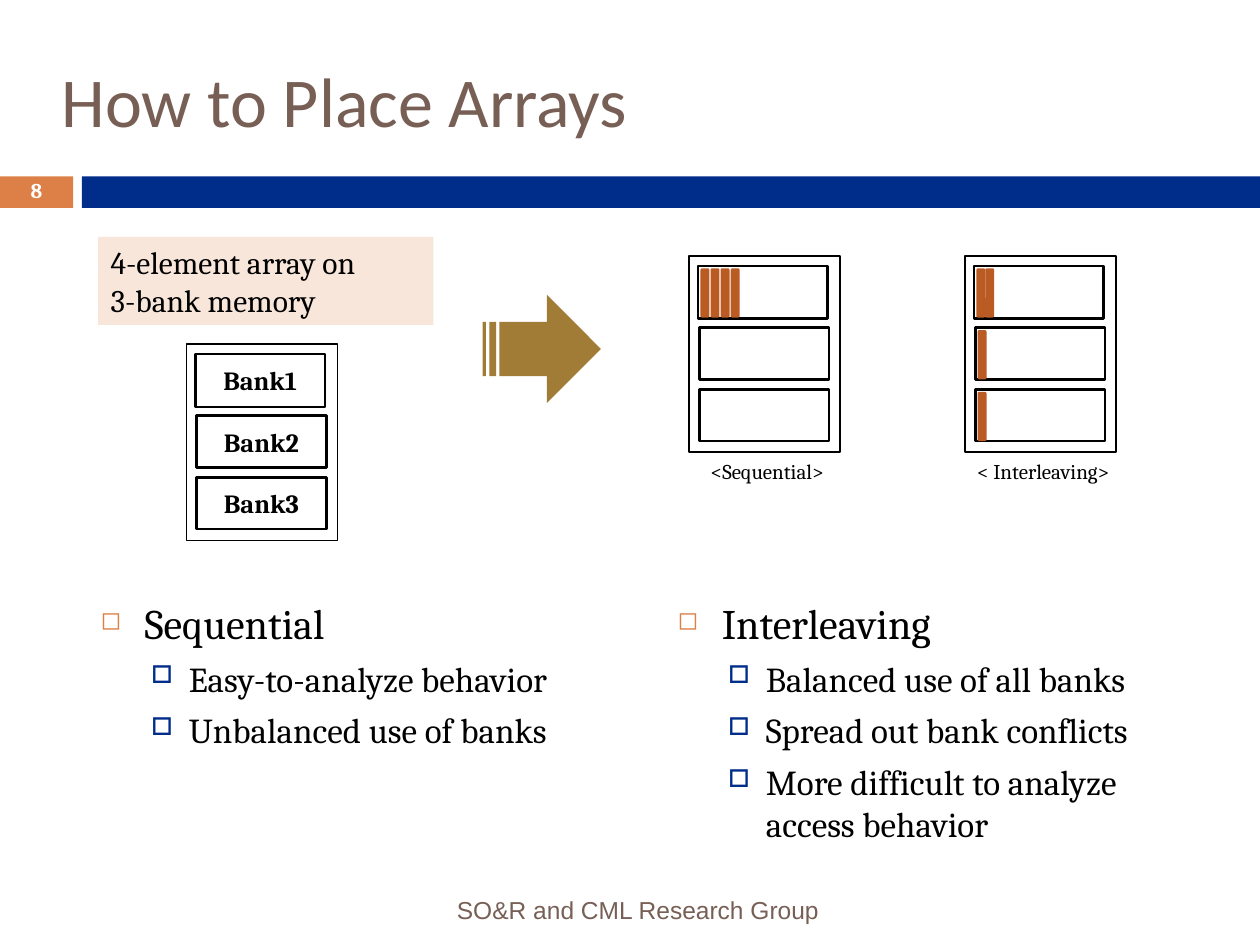
import pptx
import pptx.dml.color
import pptx.enum.shapes
import pptx.enum.text
import pptx.oxml.ns
import pptx.util
from lxml import etree

PX = 9144  # EMU in one px, 100 px to the inch
SHAPE = pptx.enum.shapes.MSO_SHAPE
ALIGN = pptx.enum.text.PP_ALIGN
ANCHOR = pptx.enum.text.MSO_ANCHOR

THEME = {
    "color": {"ink": "000000", "paper": "FFFFFF", "title": "775F55", "accent": "DD8047",
              "band": "002D89", "note": "F8E6DA", "arrow": "A17C36", "element": "B95B22"},
    "text": {
        "title": {"name": "Calibri", "size": 40, "color": "title"},
        "number": {"name": "Cambria", "size": 12, "color": "paper", "bold": True},
        "footer": {"name": "Arial", "size": 14, "color": "title"},
        "note": {"name": "Cambria", "size": 18, "color": "ink"},
        "bank": {"name": "Cambria", "size": 15, "color": "ink", "bold": True},
        "caption": {"name": "Cambria", "size": 12, "color": "ink"},
        "head": {"name": "Cambria", "size": 24, "color": "ink"},
        "point": {"name": "Cambria", "size": 20, "color": "ink"},
    },
}

TITLE = "How to Place Arrays"
NUMBER = "8"
FOOTER = "SO&R and CML Research Group"
NOTE = ["4-element array on", "3-bank memory"]

# elements: how many array elements lie in each bank
MEMORIES = [
    {"at": (148, 273), "labels": ["Bank1", "Bank2", "Bank3"]},
    {"at": (547, 203), "elements": [4, 0, 0], "step": 8, "caption": "<Sequential>"},
    {"at": (766, 203), "elements": [2, 1, 1], "step": 7, "caption": "< Interleaving>"},
]
MEMORY_SIZE = (120, 156)
BANKS = [(7, 8, 103, 42), (8, 57, 103, 41), (8, 106, 103, 41)]  # inside a memory
ELEMENT_SIZE = (7, 39)

COLUMNS = [
    ((70, 469, 425, 219), "Sequential",
     ["Easy-to-analyze behavior", "Unbalanced use of banks"]),
    ((528, 469, 425, 234), "Interleaving",
     ["Balanced use of all banks", "Spread out bank conflicts",
      "More difficult to analyze access behavior"]),
]
LEVELS = {
    "head": {"level": 0, "left": 35, "hang": 35, "before": 0,
             "bullet": ("◻", "accent", 60)},
    "point": {"level": 1, "left": 70, "hang": 30, "before": 5.5,
              "bullet": ("□", "band", 70)},
}


def rgb(key):
    return pptx.dml.color.RGBColor.from_string(THEME["color"][key])


def emu(box):
    return [v * PX for v in box]


def add_shape(s, kind, box, fill, line_width=None):
    sp = s.shapes.add_shape(kind, *emu(box))
    sp.shadow.inherit = False
    sp.fill.solid()
    sp.fill.fore_color.rgb = rgb(fill)
    if line_width:
        sp.line.color.rgb = rgb("ink")
        sp.line.width = pptx.util.Pt(line_width)
    else:
        sp.line.fill.background()
    return sp


def add_box(s, box):
    return s.shapes.add_textbox(*emu(box))


def add_bullet(p, level):
    char, color, percent = level["bullet"]
    pPr = p._p.get_or_add_pPr()
    pPr.set("marL", str(level["left"] * PX))
    pPr.set("indent", str(-level["hang"] * PX))
    qn = pptx.oxml.ns.qn
    clr = etree.SubElement(pPr, qn("a:buClr"))
    etree.SubElement(clr, qn("a:srgbClr")).set("val", THEME["color"][color])
    etree.SubElement(pPr, qn("a:buSzPct")).set("val", str(percent * 1000))
    etree.SubElement(pPr, qn("a:buChar")).set("char", char)


def write(sp, lines, align=ALIGN.LEFT, anchor=ANCHOR.TOP, spacing=None):
    """Fill a shape with (style, text) lines; styles in LEVELS get bullets."""
    tf = sp.text_frame
    tf.word_wrap = True
    tf.vertical_anchor = anchor
    for i, (style, text) in enumerate(lines):
        p = tf.paragraphs[0] if i == 0 else tf.add_paragraph()
        if style in LEVELS:
            level = LEVELS[style]
            add_bullet(p, level)
            p.level = level["level"]
            p.space_before = pptx.util.Pt(level["before"])
        p.alignment = align
        if spacing:
            p.line_spacing = spacing
        r = p.add_run()
        r.text = text
        look = dict(THEME["text"][style])
        r.font.color.rgb = rgb(look.pop("color"))
        look["size"] = pptx.util.Pt(look["size"])
        for key, value in look.items():
            setattr(r.font, key, value)


def add_memory(s, memory):
    left, top = memory["at"]
    add_shape(s, SHAPE.RECTANGLE, (left, top, *MEMORY_SIZE), "paper", 1)
    for i, (dx, dy, w, h) in enumerate(BANKS):
        x, y = left + dx, top + dy
        bank = add_shape(s, SHAPE.RECTANGLE, (x, y, w, h), "paper", 1.5)
        if "labels" in memory:
            write(bank, [("bank", memory["labels"][i])], ALIGN.CENTER, ANCHOR.MIDDLE)
        else:
            for n in range(memory["elements"][i]):
                box = (x + 2 + n * memory["step"], y + 2, *ELEMENT_SIZE)
                add_shape(s, SHAPE.ROUNDED_RECTANGLE, box, "element")
    if "caption" in memory:
        box = (left - 16, top + MEMORY_SIZE[1], 156, 30)
        write(add_box(s, box), [("caption", memory["caption"])], ALIGN.CENTER)


def main():
    prs = pptx.Presentation()
    prs.slide_width, prs.slide_height = 1000 * PX, 750 * PX
    s = prs.slides.add_slide(prs.slide_layouts[6])

    add_shape(s, SHAPE.RECTANGLE, (0, 140, 58, 25), "accent")
    add_shape(s, SHAPE.RECTANGLE, (65, 140, 935, 25), "band")
    write(add_box(s, (39, 25, 919, 108)), [("title", TITLE)], anchor=ANCHOR.MIDDLE)
    write(add_box(s, (0, 139, 58, 27)), [("number", NUMBER)],
          ALIGN.CENTER, ANCHOR.MIDDLE, 0.8)
    write(add_box(s, (67, 702, 593, 40)), [("footer", FOOTER)],
          ALIGN.RIGHT, ANCHOR.MIDDLE)

    note = add_shape(s, SHAPE.RECTANGLE, (78, 188, 266, 70), "note")
    write(note, [("note", line) for line in NOTE])
    add_shape(s, SHAPE.STRIPED_RIGHT_ARROW, (383, 234, 94, 86), "arrow")
    for memory in MEMORIES:
        add_memory(s, memory)

    for box, head, points in COLUMNS:
        write(add_box(s, box), [("head", head)] + [("point", t) for t in points])

    prs.save("out.pptx")


if __name__ == "__main__":
    main()
